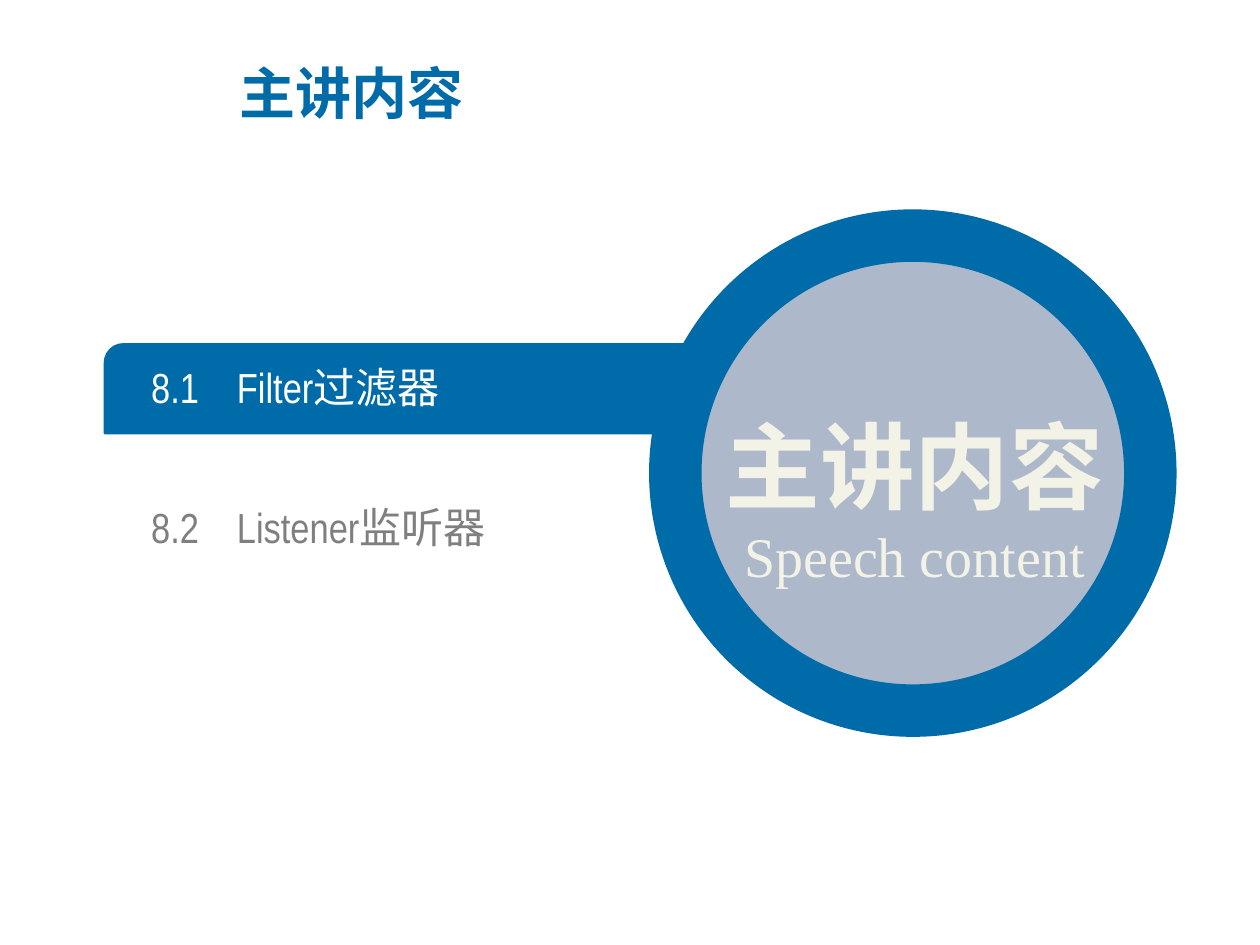
from pptx import Presentation
from pptx import util as u
from pptx.dml.color import RGBColor
from pptx.enum import shapes, text
from pptx.oxml.ns import qn
from lxml import etree

BLUE = RGBColor(0x00, 0x6B, 0xA9)
PALE_BLUE = RGBColor(0xAD, 0xB9, 0xCA)
CREAM = RGBColor(0xF2, 0xF2, 0xE6)
WHITE = RGBColor(0xFF, 0xFF, 0xFF)
GRAY = RGBColor(0x7F, 0x7F, 0x7F)

CJK_FONT = "Noto Sans CJK SC"
COLUMNS, ROWS = 10, 7.5
TWO_CONTENT_LAYOUT = 3


class AgendaSlide:
    def __init__(self, presentation):
        layout = presentation.slide_layouts[TWO_CONTENT_LAYOUT]
        self.slide = presentation.slides.add_slide(layout)
        self.column = presentation.slide_width / COLUMNS
        self.row = presentation.slide_height / ROWS

    def box(self, left, top, width, height):
        return (int(left * self.column), int(top * self.row),
                int(width * self.column), int(height * self.row))

    def place(self, shape, *area):
        shape.left, shape.top, shape.width, shape.height = self.box(*area)

    def format_paragraph(self, paragraph, size, font_name, color, bold=False,
                         alignment=text.PP_ALIGN.LEFT, line_spacing=1.0):
        paragraph.alignment = alignment
        paragraph.line_spacing = line_spacing
        paragraph.space_before = u.Pt(0)
        for run in paragraph.runs:
            font = run.font
            font.size, font.name, font.bold = u.Pt(size), font_name, bold
            font.color.rgb = color
            east_asian = etree.SubElement(font._element, qn("a:ea"))
            east_asian.set("typeface", CJK_FONT)

    def prepare_frame(self, shape, inset=None):
        frame = shape.text_frame
        frame.word_wrap = True
        frame.auto_size = text.MSO_AUTO_SIZE.NONE
        frame.vertical_anchor = text.MSO_ANCHOR.MIDDLE
        if inset is not None:
            frame.margin_left = frame.margin_right = u.Inches(inset)
            frame.margin_top = frame.margin_bottom = u.Inches(inset)
        return frame

    def title(self, wording, *area):
        shape = self.slide.shapes.title
        self.place(shape, *area)
        frame = self.prepare_frame(shape)
        frame.text = wording
        self.format_paragraph(frame.paragraphs[0], 32, CJK_FONT, BLUE, bold=True)

    def item(self, index, number, wording, color, *area):
        shape = self.slide.placeholders[index]
        self.place(shape, *area)
        shape.element.getparent().append(shape.element)
        frame = self.prepare_frame(shape, inset=0)
        frame.text = f"{number}\t{wording}"
        paragraph = frame.paragraphs[0]
        self.format_paragraph(paragraph, 24, "Arial Narrow", color)
        properties = paragraph._p.get_or_add_pPr()
        hanging = u.Inches(0.68)
        properties.set("marL", str(hanging))
        properties.set("indent", str(-hanging))
        etree.SubElement(properties, qn("a:buNone"))

    def shape(self, kind, fill, line_width, *area):
        shape = self.slide.shapes.add_shape(kind, *self.box(*area))
        shape.shadow.inherit = False
        shape.fill.solid()
        shape.fill.fore_color.rgb = fill
        shape.line.color.rgb = BLUE
        shape.line.width = u.Pt(line_width)
        return shape

    def caption(self, heading, subheading, *area):
        shape = self.slide.shapes.add_textbox(*self.box(*area))
        frame = self.prepare_frame(shape)
        frame.text = f"{heading}\n{subheading}"
        first, second = frame.paragraphs
        center = text.PP_ALIGN.CENTER
        self.format_paragraph(first, 54, CJK_FONT, CREAM, bold=True,
                              alignment=center, line_spacing=1.5)
        self.format_paragraph(second, 32, "Times New Roman", CREAM, alignment=center)


def main():
    presentation = Presentation()
    presentation.slide_width = u.Inches(10)
    presentation.slide_height = u.Inches(7.5)
    agenda = AgendaSlide(presentation)

    agenda.title("主讲内容", 1.8, 0.43, 5.41, 0.61)
    bar = agenda.shape(shapes.MSO_SHAPE.ROUND_2_DIAG_RECTANGLE, BLUE, 1,
                       0.83, 2.73, 5.35, 0.71)
    bar.adjustments[0] = 0.21
    bar.adjustments[1] = 0

    items = [("8.1", "Filter过滤器", WHITE), ("8.2", "Listener监听器", GRAY)]
    for position, (number, wording, color) in enumerate(items):
        agenda.item(position + 1, number, wording, color,
                    1.2, 2.87 + 1.11 * position, 4.19, 0.4)

    agenda.shape(shapes.MSO_SHAPE.OVAL, PALE_BLUE, 30, 5.36, 1.87, 3.77, 3.77)
    agenda.caption("主讲内容", "Speech content", 5.31, 2.73, 3.9, 2)
    presentation.save("out.pptx")


if __name__ == "__main__":
    main()
